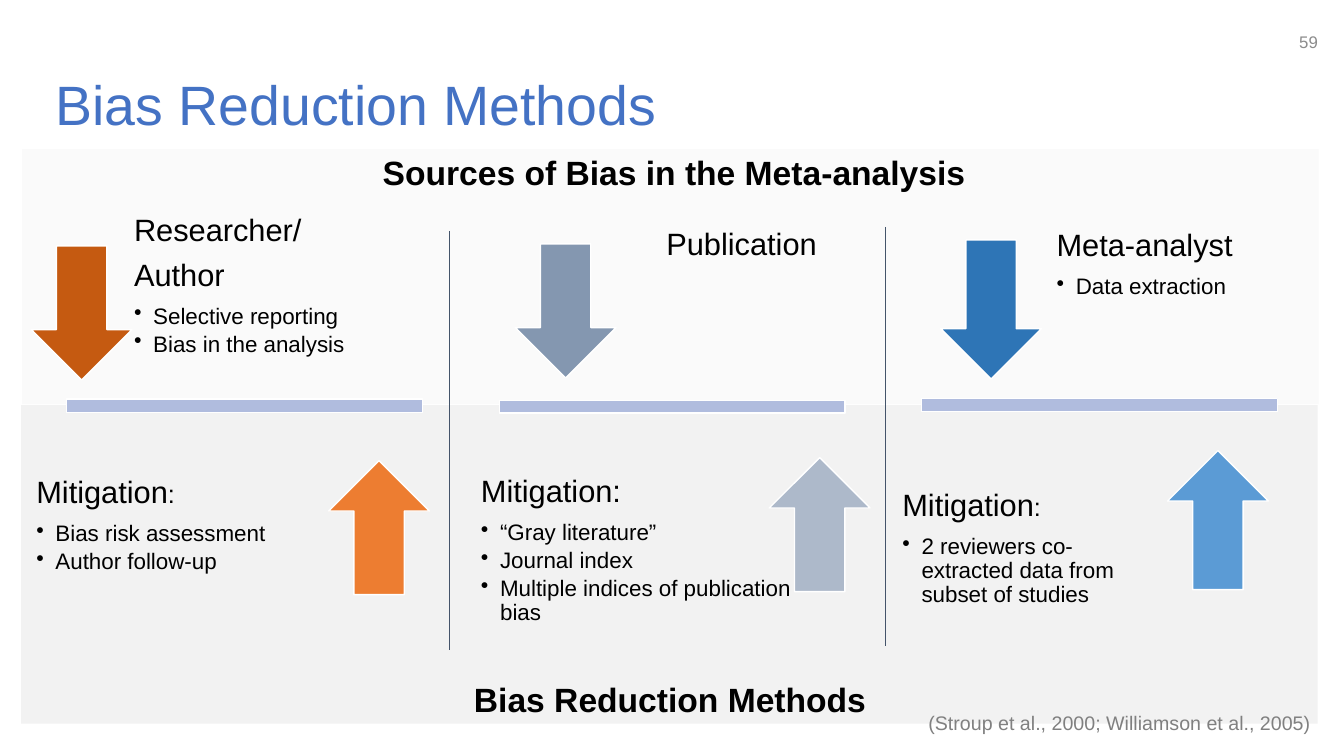
from lxml import etree
from pptx import Presentation
from pptx import util as u
from pptx.dml.color import RGBColor
from pptx.enum import shapes, text
from pptx.oxml import ns

BLACK = RGBColor(0x00, 0x00, 0x00)
WHITE = RGBColor(0xFF, 0xFF, 0xFF)
TITLE_BLUE = RGBColor(0x44, 0x72, 0xC4)
LOWER_PANEL = RGBColor(0xF2, 0xF2, 0xF2)
UPPER_PANEL = RGBColor(0xFA, 0xFA, 0xFA)
BAR = RGBColor(0xB0, 0xBC, 0xDE)
DIVIDER = RGBColor(0x44, 0x54, 0x6A)
DARK_ORANGE = RGBColor(0xC5, 0x5A, 0x11)
ORANGE = RGBColor(0xED, 0x7D, 0x31)
SLATE = RGBColor(0x84, 0x97, 0xB0)
PALE_SLATE = RGBColor(0xAD, 0xB9, 0xCA)
DARK_BLUE = RGBColor(0x2E, 0x75, 0xB6)
BLUE = RGBColor(0x5B, 0x9B, 0xD5)
NUMBER_GREY = RGBColor(0x8C, 0x8C, 0x8C)
CITATION_GREY = RGBColor(0x80, 0x80, 0x80)

LEFT, CENTER, RIGHT = (text.PP_ALIGN.LEFT, text.PP_ALIGN.CENTER, text.PP_ALIGN.RIGHT)
TOP, MIDDLE = text.MSO_ANCHOR.TOP, text.MSO_ANCHOR.MIDDLE
SHAPE = shapes.MSO_SHAPE

BIAS_COLUMNS = [
    {
        "bar": (0.2, 37.5, 48.1, 5.5),
        "down": (3.1, 24.4, 10, 13.3), "up": (32.6, 45.7, 10, 13.3),
        "colors": (DARK_ORANGE, ORANGE),
        "source": ((11.6, 19, 35.7, 18.7), [[("Researcher/", 22)], [("Author", 22)]],
                   ["Selective reporting", "Bias in the analysis"], LEFT),
        "mitigation": ((1.9, 42.8, 36.1, 18.7), [[("Mitigation", 22), (":", 18)]],
                       ["Bias risk assessment", "Author follow-up"], LEFT),
    },
    {
        "bar": (85, 37.4, 48.1, 5.5),
        "down": (93.3, 23.8, 10, 13.8), "up": (115.8, 44.7, 10, 13.8),
        "colors": (DARK_BLUE, BLUE),
        "source": ((103.1, 19.7, 29.6, 13.1), [[("Meta-analyst", 22)]],
                   ["Data extraction"], LEFT),
        "mitigation": ((87.8, 44.6, 27.7, 19.7), [[("Mitigation", 22), (":", 18)]],
                       ["2 reviewers co-extracted data from subset of studies"], LEFT),
    },
    {
        "bar": (43.4, 37.7, 46.6, 5.3),
        "down": (51.1, 24.2, 10, 13.3), "up": (76.3, 45.4, 10, 13.3),
        "colors": (SLATE, PALE_SLATE),
        "source": ((60.6, 21.1, 25.9, 6.5), [[("Publication", 22)]], [], CENTER),
        "mitigation": ((46, 45.2, 35.4, 18.9), [[("Mitigation:", 22)]],
                       ["“Gray literature”", "Journal index",
                        "Multiple indices of publication bias"], LEFT),
    },
]


class SlideBuilder:
    """Draw styled elements on a slide whose grid cells are a tenth of an inch."""

    font_name = "Arial"
    columns, rows = 133.3, 75

    def __init__(self, presentation):
        presentation.slide_width = u.Inches(13.33)
        presentation.slide_height = u.Inches(7.5)
        self.column = presentation.slide_width / self.columns
        self.row = presentation.slide_height / self.rows
        self.slide = presentation.slides.add_slide(presentation.slide_layouts[5])

    def place(self, left, top, width, height):
        """Convert grid cells to slide lengths."""
        return (round(left * self.column), round(top * self.row),
                round(width * self.column), round(height * self.row))

    def style(self, paragraph, size, color=BLACK, align=LEFT, bold=False):
        """Set the font and alignment of a paragraph."""
        paragraph.alignment = align
        font = paragraph.font
        font.name, font.size, font.bold = self.font_name, u.Pt(size), bold
        font.color.rgb = color

    def frame(self, shape, inset, anchor):
        """Prepare the text frame of a shape."""
        frame = shape.text_frame
        frame.word_wrap = True
        frame.auto_size = text.MSO_AUTO_SIZE.NONE
        frame.vertical_anchor = anchor
        frame.margin_left = frame.margin_right = u.Inches(max(inset, 0.1))
        frame.margin_top = frame.margin_bottom = u.Inches(inset)
        return frame

    def title(self, box, words):
        """Fill the title placeholder."""
        title = self.slide.shapes.title
        title.left, title.top, title.width, title.height = self.place(*box)
        frame = self.frame(title, 0.1, MIDDLE)
        frame.text = words
        frame.paragraphs[0].line_spacing = 0.9
        self.style(frame.paragraphs[0], 39.6, TITLE_BLUE)

    def shape(self, kind, box, fill, outline=None):
        """Add a filled preset shape."""
        shape = self.slide.shapes.add_shape(kind, *self.place(*box))
        shape.shadow.inherit = False
        shape.fill.solid()
        shape.fill.fore_color.rgb = fill
        if outline is None:
            shape.line.fill.background()
        else:
            shape.line.color.rgb = outline
            shape.line.width = u.Pt(1)

    def label(self, box, words, size, color=BLACK, align=CENTER, bold=False,
              inset=0.05, anchor=TOP):
        """Add a single line of text."""
        label = self.slide.shapes.add_textbox(*self.place(*box))
        frame = self.frame(label, inset, anchor)
        frame.text = words
        self.style(frame.paragraphs[0], size, color, align, bold)

    def bullet_list(self, box, headings, bullets, align):
        """Add headings followed by bulleted points."""
        frame = self.frame(self.slide.shapes.add_textbox(*self.place(*box)), 0.17, MIDDLE)
        lines = [(runs, 8.5, False) for runs in headings]
        lines += [([(point, 16)], 2.7, True) for point in bullets]
        for index, (runs, gap, bulleted) in enumerate(lines):
            paragraph = frame.add_paragraph() if index else frame.paragraphs[0]
            self.style(paragraph, runs[0][1], align=align)
            paragraph.line_spacing = 0.9
            paragraph.space_after = u.Pt(gap)
            for words, size in runs:
                run = paragraph.add_run()
                run.text = words
                if size != runs[0][1]:
                    run.font.size = u.Pt(size)
            if bulleted:
                self.bullet(paragraph)

    def bullet(self, paragraph):
        """Give a paragraph a hanging bullet."""
        paragraph.level = 1
        properties = paragraph._p.get_or_add_pPr()
        properties.set("marL", str(u.Inches(0.19)))
        properties.set("indent", str(-u.Inches(0.19)))
        mark = etree.Element(ns.qn("a:buChar"), char="•")
        properties.find(ns.qn("a:defRPr")).addprevious(mark)

    def divider(self, left, top, height):
        """Add a thin vertical line."""
        x, y, _, length = self.place(left, top, 0, height)
        line = self.slide.shapes.add_connector(
            shapes.MSO_CONNECTOR.STRAIGHT, x, y, x, y + length)
        line.line.color.rgb = DIVIDER
        line.line.width = u.Pt(0.5)
        etree.SubElement(line._element.spPr, ns.qn("a:effectLst"))


def main():
    """Build and save the slide."""
    presentation = Presentation()
    builder = SlideBuilder(presentation)
    builder.title((4.5, 6.5, 124.2, 8.4), "Bias Reduction Methods")
    builder.shape(SHAPE.RECTANGLE, (2.1, 40.2, 128.6, 31.6), LOWER_PANEL)
    builder.shape(SHAPE.RECTANGLE, (2.2, 14.8, 128.6, 25.3), UPPER_PANEL)
    for column in BIAS_COLUMNS:
        down_color, up_color = column["colors"]
        builder.shape(SHAPE.MATH_MINUS, column["bar"], BAR, WHITE)
        builder.shape(SHAPE.DOWN_ARROW, column["down"], down_color, WHITE)
        builder.bullet_list(*column["source"])
        builder.shape(SHAPE.UP_ARROW, column["up"], up_color, WHITE)
        builder.bullet_list(*column["mitigation"])
    builder.label((35.2, 14.6, 63.3, 5), "Sources of Bias in the Meta-analysis", 24, bold=True)
    builder.label((38, 66.9, 56.9, 5), "Bias Reduction Methods", 24, bold=True)
    builder.divider(44.6, 22.9, 41.6)
    builder.divider(87.8, 22.5, 41.6)
    builder.label((123.7, 1.7, 8, 4.8), "59", 12, NUMBER_GREY, RIGHT, inset=0.1, anchor=MIDDLE)
    builder.label((89.4, 70, 41.6, 3.4), "(Stroup et al., 2000; Williamson et al., 2005)",
                  14, CITATION_GREY, RIGHT)
    presentation.save("out.pptx")


if __name__ == "__main__":
    main()
